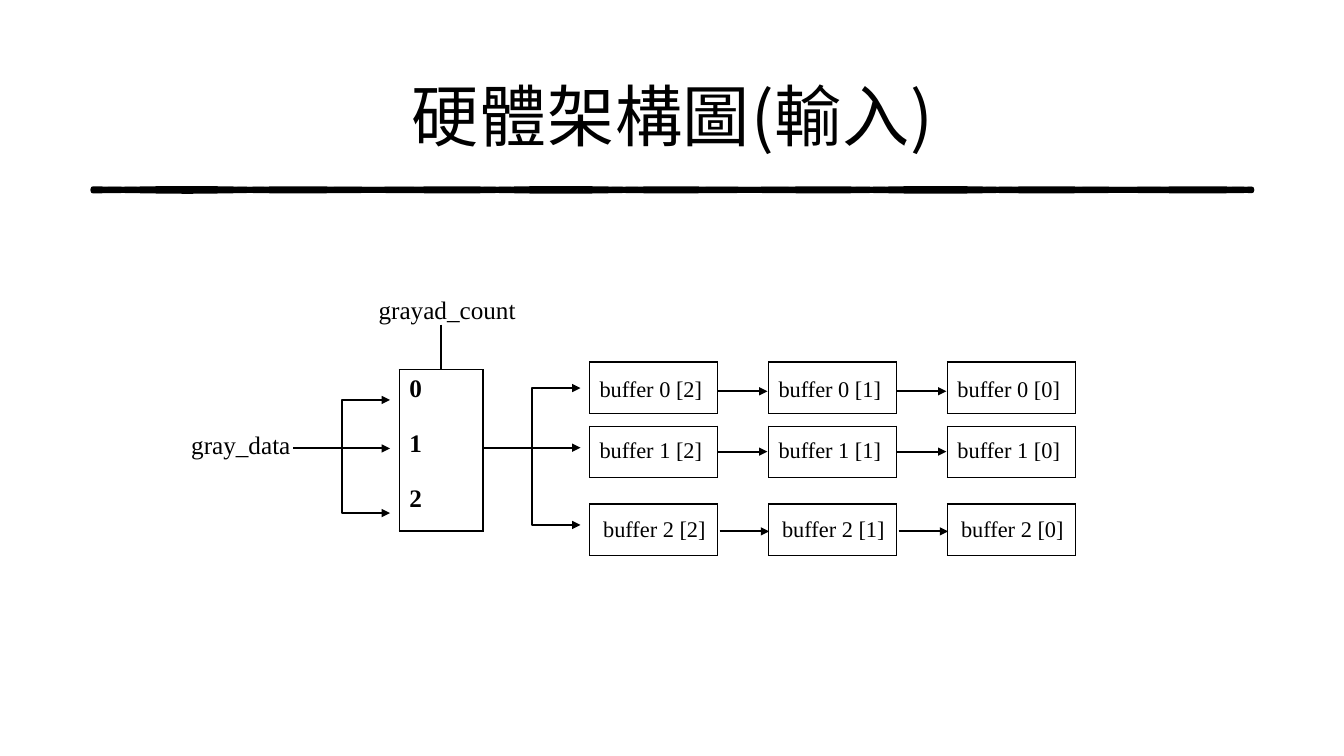
"""Build a slide that shows the input side of a hardware design."""
from dataclasses import dataclass
from math import sin

from lxml import etree
from pptx import Presentation
from pptx.dml.color import RGBColor as Rgb
from pptx.enum.shapes import MSO_CONNECTOR as Link
from pptx.enum.text import MSO_ANCHOR as Anchor, PP_ALIGN as Align
from pptx.oxml.ns import qn
from pptx.util import Cm, Pt


@dataclass(frozen=True)
class Theme:
    ink: Rgb = Rgb(0, 0, 0)
    serif: str = "Times New Roman"
    sans: str = "Noto Sans CJK SC"
    head: int = 48
    label: int = 18
    small: int = 16
    brush: int = 3
    wire: float = 1.5
    edge: int = 1


@dataclass(frozen=True)
class Row:
    top: float
    text: float
    wire: float
    shift: float = 0


theme = Theme()


def write(frame, text, size=theme.label, font=theme.serif, bold=False,
          align=Align.LEFT, gap=0, track=0):
    frame.word_wrap = True
    for num, line in enumerate(text.split("\n")):
        para = frame.add_paragraph() if num else frame.paragraphs[0]
        para.alignment = align
        para.space_before = Pt(gap if num else 0)
        run = para.add_run()
        run.text = line
        run.font.size = Pt(size)
        run.font.name = font
        run.font.bold = bold
        run.font.color.rgb = theme.ink
        props = run.font._element
        if track:
            props.set("spc", str(track))
        etree.SubElement(props, qn("a:ea")).set("typeface", font)


def wire(kind, x1, y1, x2, y2, tip=True):
    link = slide.shapes.add_connector(kind, Cm(x1), Cm(y1), Cm(x2), Cm(y2))
    link.line.color.rgb = theme.ink
    link.line.width = Pt(theme.wire)
    if tip:
        line = link.line._get_or_add_ln()
        etree.SubElement(line, qn("a:tailEnd")).set("type", "triangle")
    etree.SubElement(link._element.spPr, qn("a:effectLst"))


deck = Presentation()
deck.slide_width, deck.slide_height = Cm(33.87), Cm(19.05)
slide = deck.slides.add_slide(deck.slide_layouts[6])

left, span = 2.34, 29.21

rule_y, thick, swing, steps = 4.76, 0.05, 0.02, 60
for sign in (1, -1):
    upper, lower = [], []
    for step in range(steps + 1):
        x = left + span * step / steps
        wave = sign * swing * sin(x) * sin(x / 3)
        upper.append((Cm(x), Cm(rule_y + wave)))
        lower.append((Cm(x), Cm(rule_y + thick + wave)))
    outline = upper + lower[::-1]
    pen = slide.shapes.build_freeform(*outline[0])
    pen.add_line_segments(outline[1:])
    brush = pen.convert_to_shape()
    brush.shadow.inherit = False
    brush.fill.solid()
    brush.fill.fore_color.rgb = theme.ink
    brush.line.color.rgb = theme.ink
    brush.line.width = Pt(theme.brush)

title = slide.shapes.add_textbox(Cm(left), Cm(1.04), Cm(span), Cm(3.68))
title.text_frame.vertical_anchor = Anchor.MIDDLE
write(title.text_frame, "硬體架構圖(輸入)", size=theme.head, font=theme.sans,
      align=Align.CENTER, track=50)

wide, high, pitch = 3.23, 1.3, 4.51
cols = [14.86 + pitch * num for num in range(3)]
rows = [Row(top=9.12, text=9.32, wire=9.86),
        Row(top=10.74, text=10.87, wire=11.38),
        Row(top=12.7, text=12.85, wire=13.39, shift=0.09)]
mux = (10.06, 9.32, 2.11, 4.06)
boxes = [(x, row.top, wide, high) for row in rows for x in cols]
for box in boxes + [mux]:
    table = slide.shapes.add_table(1, 1, *map(Cm, box)).table
    table.first_row = table.horz_banding = False
    cell = table.cell(0, 0)
    props = cell._tc.get_or_add_tcPr()
    for side in ("a:lnL", "a:lnR", "a:lnT", "a:lnB"):
        edge = etree.SubElement(props, qn(side), w=str(Pt(theme.edge)))
        fill = etree.SubElement(edge, qn("a:solidFill"))
        etree.SubElement(fill, qn("a:srgbClr"), val=str(theme.ink))
    cell.fill.background()
    if box == mux:
        write(cell.text_frame, "0\n1\n2", bold=True, gap=19.5)

for num, row in enumerate(rows):
    for stage, x in enumerate(cols):
        label = slide.shapes.add_textbox(
            Cm(x + row.shift), Cm(row.text), Cm(3.76), Cm(0.94))
        write(label.text_frame, f"buffer {num} [{2 - stage}]",
              size=theme.small)
    for x in cols[:-1]:
        start = x + wide + row.shift / 2
        wire(Link.STRAIGHT, start, row.wire, start + 1.25, row.wire)

labels = [("gray_data", 4.57, 10.69, 3.15, Align.LEFT),
          ("grayad_count", 8.59, 7.29, 5.36, Align.CENTER)]
for text, x, y, width, align in labels:
    label = slide.shapes.add_textbox(Cm(x), Cm(y), Cm(width), Cm(1.02))
    write(label.text_frame, text, align=align)

reach = 2.44
fans = [(7.39, 11.3, (10.08, 11.3, 12.93)),
        (12.19, 11.28, (9.78, 11.28, 13.23))]
for x, y, ends in fans:
    for end in ends:
        kind = Link.STRAIGHT if end == y else Link.ELBOW
        wire(kind, x, y, x + reach, end)
mid = mux[0] + mux[2] / 2
wire(Link.STRAIGHT, mid, 8.18, mid, mux[1], tip=False)

deck.save("out.pptx")
